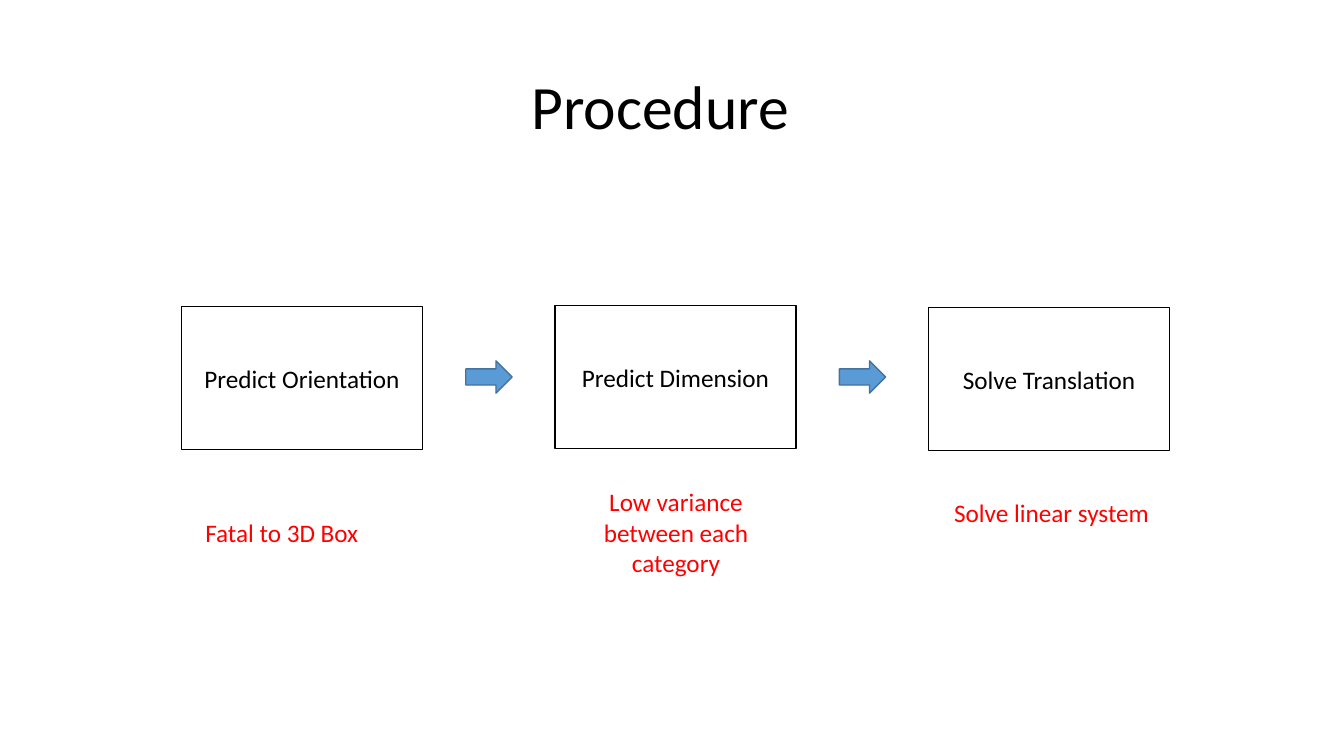
from pptx import Presentation
from pptx import util as u
from pptx.dml.color import RGBColor
from pptx.enum import shapes, text

HUES = {"ink": "000000", "paper": "FFFFFF", "note": "FF0000",
        "arrow": "5B9BD5", "edge": "43739E"}
LEFT, STEP = 1.8, 3.705  # first column and column pitch, inches


def write(shape, words, size=18, hue="ink", anchor="MIDDLE", spacing=1.0):
    frame = shape.text_frame
    frame.word_wrap = True
    frame.vertical_anchor = text.MSO_ANCHOR[anchor]
    para = frame.paragraphs[0]
    para.alignment = text.PP_ALIGN.CENTER
    para.line_spacing = spacing
    run = para.add_run()
    run.text = words
    run.font.name = "Calibri"
    run.font.size = u.Pt(size)
    run.font.color.rgb = RGBColor.from_string(HUES[hue])


def draw(kind, box, fill, line):
    shape = slide.shapes.add_shape(kind, *map(u.Inches, box))
    shape.shadow.inherit = False
    shape.fill.solid()
    shape.fill.fore_color.rgb = RGBColor.from_string(HUES[fill])
    shape.line.color.rgb = RGBColor.from_string(HUES[line])
    shape.line.width = u.Pt(1)
    return shape


deck = Presentation()
deck.slide_width, deck.slide_height = u.Inches(13.33), u.Inches(7.5)
slide = deck.slides.add_slide(deck.slide_layouts[6])

title = slide.shapes.add_textbox(*map(u.Inches, (0.8, 0.36, 11.5, 1.45)))
write(title, "Procedure", size=44, spacing=0.9)

# Step name, its top, then the note with its left, top, width and height
steps = [
    ("Predict Orientation", 3.04, "Fatal to 3D Box", (1.8, 5.08, 1.99, 0.4)),
    ("Predict Dimension", 3.03, "Low variance between each category",
     (5.71, 4.78, 1.99, 1.01)),
    ("Solve Translation", 3.05, "Solve linear system", (9.26, 4.88, 2.34, 0.4)),
]
for col, (name, top, note, place) in enumerate(steps):
    left = LEFT + col * STEP
    step = draw(shapes.MSO_SHAPE.RECTANGLE, (left, top, 2.39, 1.42), "paper", "ink")
    write(step, name)
    label = slide.shapes.add_textbox(*map(u.Inches, place))
    write(label, note, hue="note", anchor="TOP")
    label.text_frame.auto_size = text.MSO_AUTO_SIZE.SHAPE_TO_FIT_TEXT
    if col < len(steps) - 1:
        draw(shapes.MSO_SHAPE.RIGHT_ARROW, (left + 2.82, 3.58, 0.46, 0.32),
             "arrow", "edge")

deck.save("out.pptx")
